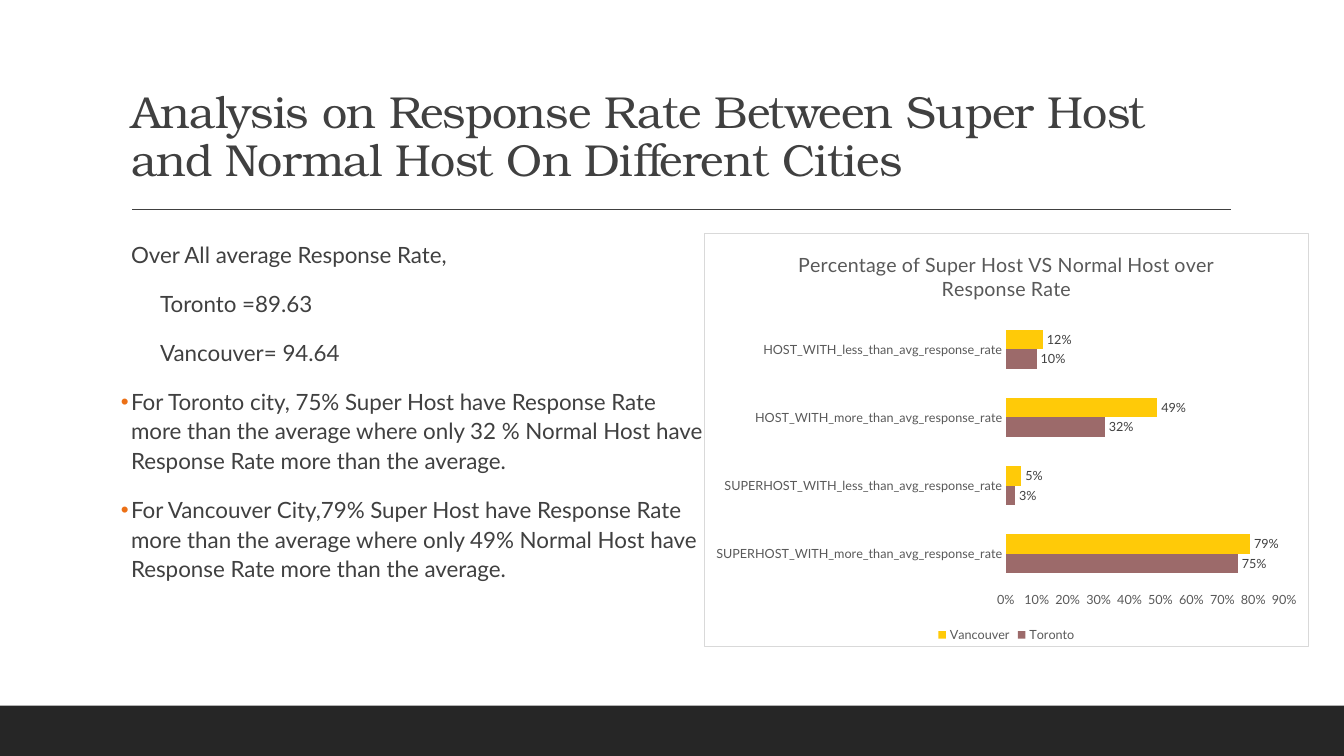
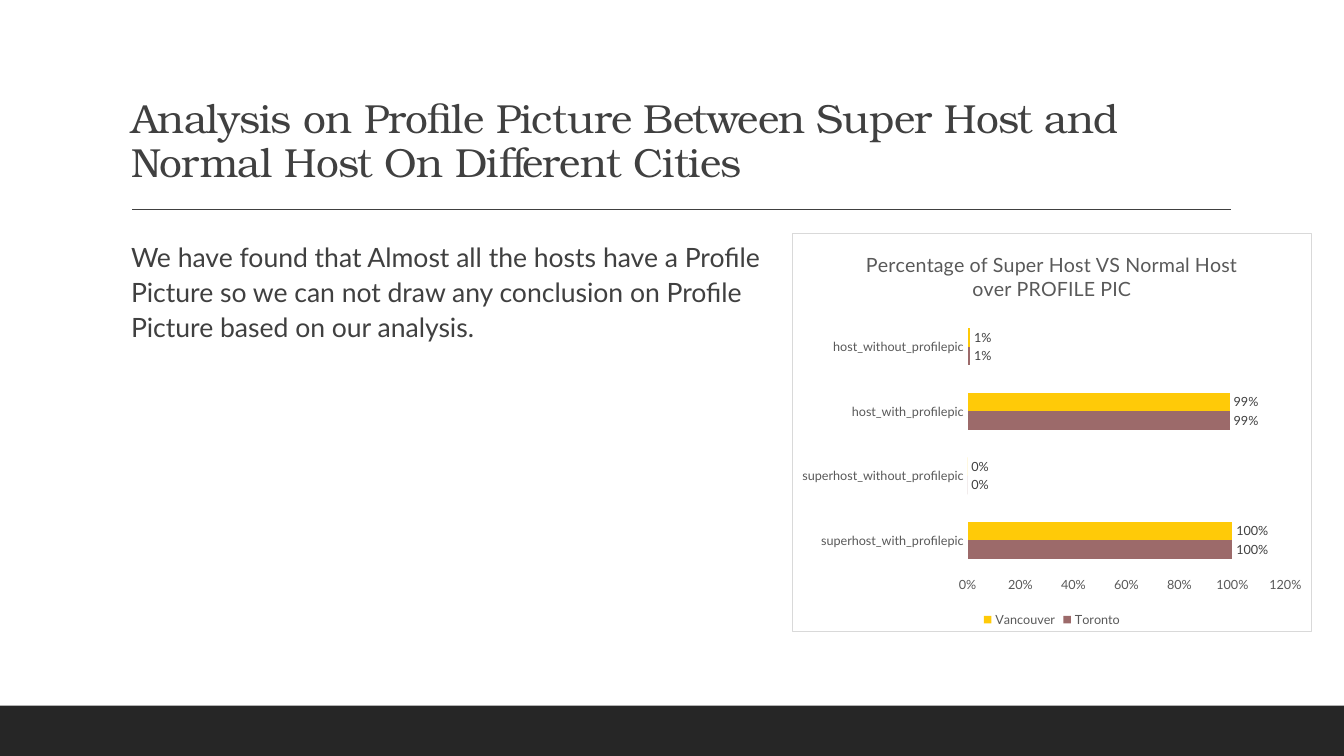
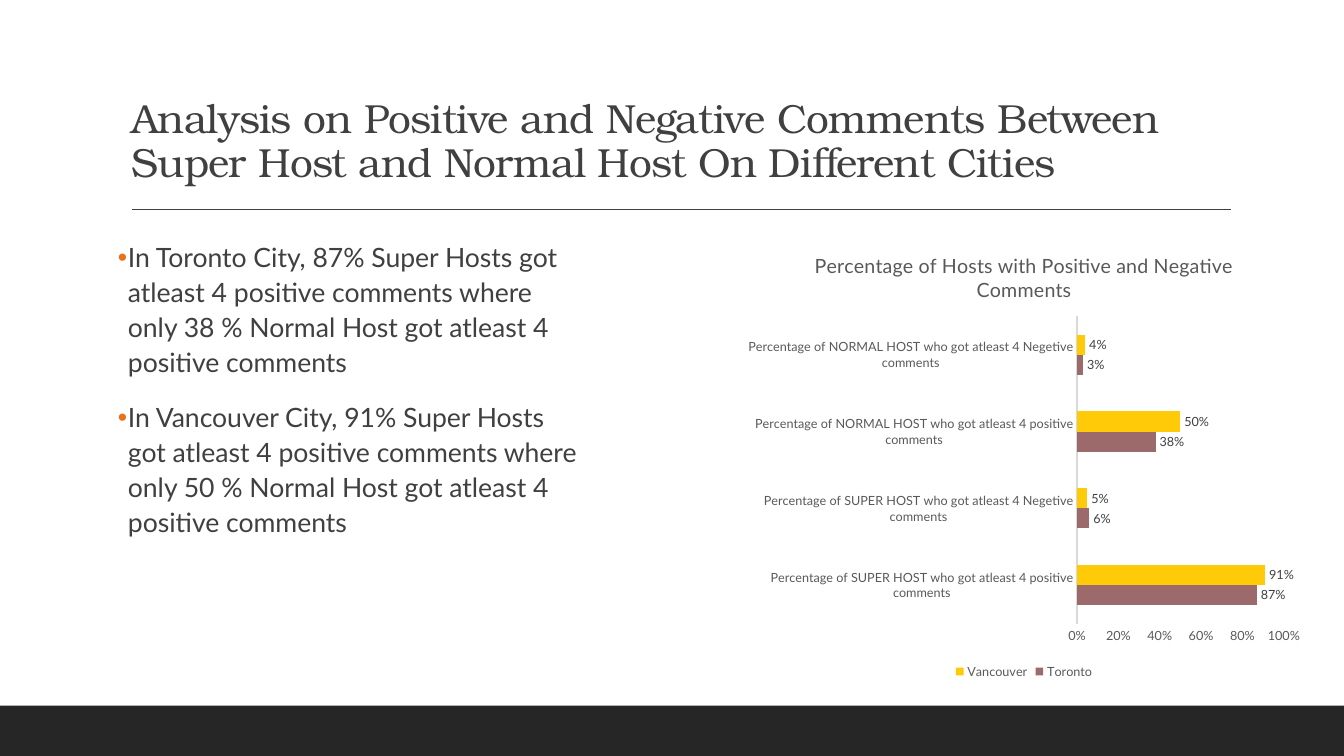
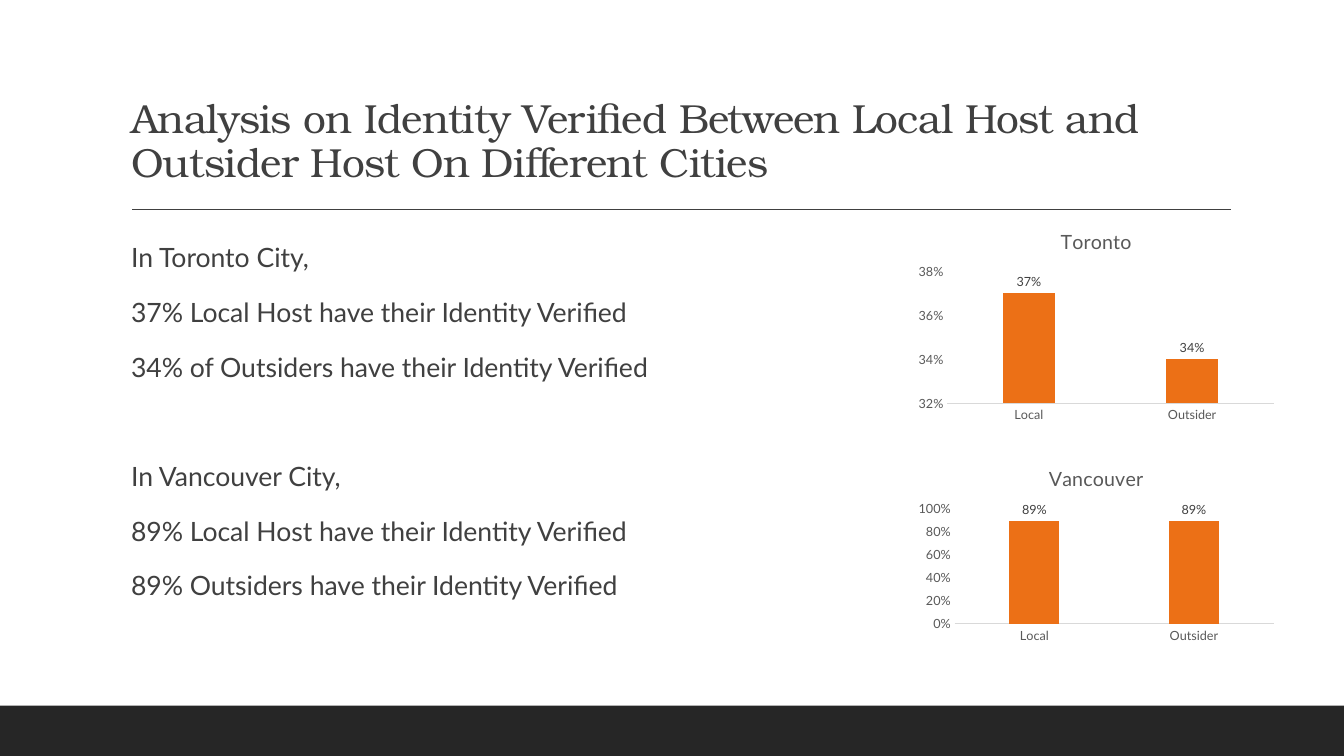
from pptx import Presentation
from pptx.chart.data import CategoryChartData
from pptx.dml.color import RGBColor
from pptx.enum.chart import XL_CHART_TYPE, XL_LABEL_POSITION, XL_LEGEND_POSITION, XL_TICK_MARK
from pptx.enum.shapes import MSO_CONNECTOR, MSO_SHAPE
from pptx.enum.text import MSO_ANCHOR, MSO_AUTO_SIZE, PP_ALIGN
from pptx.oxml import parse_xml
from pptx.oxml.ns import nsdecls, qn
from pptx.util import Pt
from lxml import etree

BAR = XL_CHART_TYPE.BAR_CLUSTERED
COLUMN = XL_CHART_TYPE.COLUMN_CLUSTERED
OUTSIDE_END = XL_LABEL_POSITION.OUTSIDE_END
LEGEND_BOTTOM = XL_LEGEND_POSITION.BOTTOM
NO_TICK = XL_TICK_MARK.NONE
STRAIGHT = MSO_CONNECTOR.STRAIGHT
RECTANGLE = MSO_SHAPE.RECTANGLE
BOTTOM = MSO_ANCHOR.BOTTOM
TOP = MSO_ANCHOR.TOP
NO_FIT = MSO_AUTO_SIZE.NONE
LEFT = PP_ALIGN.LEFT

WHITE = RGBColor(0xFF, 0xFF, 0xFF)
BAND = RGBColor(0x26, 0x26, 0x26)
INK = RGBColor(0x40, 0x40, 0x40)
MUTED = RGBColor(0x59, 0x59, 0x59)
HAIRLINE = RGBColor(0xD9, 0xD9, 0xD9)
ORANGE = RGBColor(0xEC, 0x70, 0x16)
MAUVE = RGBColor(0x9C, 0x6A, 0x6A)
YELLOW = RGBColor(0xFF, 0xCA, 0x08)

TITLE_FONT = "TeX Gyre Bonum"
BODY_FONT = "Lato"
PERCENT = "0%"

SLIDE_W, SLIDE_H = 960, 540
BAND_H = 36
TITLE_BOX = (86.4, 22.4, 792, 114.4)
RULE_LEFT, RULE_RIGHT, RULE_Y = 94.5, 879, 149.6
BODY_TOP, BODY_H = 166.4, 296
HANGING = 7.2

PLAIN, INDENTED, BULLET, SECTION = range(4)
MARGINS = {PLAIN: HANGING, INDENTED: 28, BULLET: HANGING, SECTION: HANGING}


def to_points(box):
    return [Pt(length) for length in box]


def place(shape, box):
    shape.left, shape.top, shape.width, shape.height = to_points(box)


def set_font(font, size, color, name=BODY_FONT):
    font.size = Pt(size)
    font.name = name
    font.bold = False
    font.color.rgb = color


def add_frame(layout, slide):
    band = slide.shapes.add_shape(
        RECTANGLE, *to_points((0, SLIDE_H - BAND_H, SLIDE_W, BAND_H)))
    band.shadow.inherit = False
    band.fill.solid()
    band.fill.fore_color.rgb = BAND
    band.line.fill.background()

    rule = slide.shapes.add_connector(
        STRAIGHT, *to_points((RULE_LEFT, RULE_Y, RULE_RIGHT, RULE_Y)))
    rule.line.color.rgb = INK
    rule.line.width = Pt(1)
    etree.SubElement(rule.element.spPr, qn("a:effectLst"))

    for offset, part in enumerate((band, rule)):
        part.element.xpath(".//p:cNvPr")[0].set("id", str(100 + offset))
        layout.shapes.element.insert(2 + offset, part.element)


def fill_title(title, text, size):
    place(title, TITLE_BOX)
    frame = title.text_frame
    frame.text = text
    frame.vertical_anchor = BOTTOM
    frame.auto_size = NO_FIT
    heading = frame.paragraphs[0]
    heading.alignment = LEFT
    heading.line_spacing = 0.9
    set_font(heading.font, size, INK, TITLE_FONT)
    heading._p.pPr.find(qn("a:defRPr")).set("spc", "-50")


def set_bullet(paragraph, kind):
    properties = paragraph._p.get_or_add_pPr()
    properties.set("marL", str(Pt(MARGINS[kind])))
    properties.set("indent", str(-Pt(HANGING) if kind == BULLET else 0))
    if kind == BULLET:
        color = etree.SubElement(properties, qn("a:buClr"))
        etree.SubElement(color, qn("a:srgbClr")).set("val", str(ORANGE))
        etree.SubElement(properties, qn("a:buChar")).set("char", "•")
    else:
        etree.SubElement(properties, qn("a:buNone"))


def fill_body(body, box, findings, size):
    place(body, box)
    frame = body.text_frame
    frame.margin_left = frame.margin_right = 0
    frame.margin_top = frame.margin_bottom = Pt(3.6)
    frame.vertical_anchor = TOP
    frame.auto_size = NO_FIT
    frame.text = "\n".join(text for _, text in findings)
    for index, (paragraph, (kind, _)) in enumerate(zip(frame.paragraphs, findings)):
        paragraph.alignment = LEFT
        paragraph.line_spacing = 1.1
        paragraph.space_before = Pt(0 if index == 0 else 51 if kind == SECTION else 12)
        paragraph.space_after = Pt(2)
        set_bullet(paragraph, kind)
        set_font(paragraph.font, size, INK)


def style_axes(chart, scale, category_line):
    for axis in (chart.category_axis, chart.value_axis):
        axis.major_tick_mark = axis.minor_tick_mark = NO_TICK
        axis.has_major_gridlines = False
        set_font(axis.tick_labels.font, 9, MUTED)
        axis.format.line.fill.background()
    if category_line:
        line = chart.category_axis.format.line
        line.color.rgb = HAIRLINE
        line.width = Pt(0.75)
    values = chart.value_axis
    values.minimum_scale, values.maximum_scale, values.major_unit = scale
    values.tick_labels.number_format = PERCENT
    values.tick_labels.number_format_is_linked = False


def add_card(chart):
    chart.element.find(qn("c:chart")).addnext(parse_xml(
        f'<c:spPr {nsdecls("c", "a")}>'
        f'<a:solidFill><a:srgbClr val="{WHITE}"/></a:solidFill>'
        f'<a:ln w="{Pt(0.75)}"><a:solidFill><a:srgbClr val="{HAIRLINE}"/></a:solidFill></a:ln>'
        '</c:spPr>'))


def add_percent_chart(slide, box, kind, heading, categories, series, scale,
                      gap, category_line=True, card=False):
    data = CategoryChartData(number_format=PERCENT)
    data.categories = categories
    for name, shares, _ in series:
        data.add_series(name, shares)
    chart = slide.shapes.add_chart(kind, *to_points(box), data).chart
    set_font(chart.font, 10, MUTED)

    chart.has_title = True
    chart.chart_title.include_in_layout = False
    chart.chart_title.text_frame.text = heading
    set_font(chart.chart_title.text_frame.paragraphs[0].font, 14, MUTED)

    chart.has_legend = len(series) > 1
    if chart.has_legend:
        chart.legend.position = LEGEND_BOTTOM
        chart.legend.include_in_layout = False
        set_font(chart.legend.font, 9, MUTED)

    style_axes(chart, scale, category_line)
    plot = chart.plots[0]
    plot.vary_by_categories = False
    plot.gap_width = gap
    if kind == COLUMN:
        plot.overlap = -27
    for bars, (_, _, color) in zip(plot.series, series):
        bars.format.fill.solid()
        bars.format.fill.fore_color.rgb = color
        labels = bars.data_labels
        labels.show_value = True
        labels.position = OUTSIDE_END
        labels.number_format = PERCENT
        labels.number_format_is_linked = False
        set_font(labels.font, 9, INK)
    if card:
        add_card(chart)


def add_city_chart(slide, box, heading, categories, toronto, vancouver, scale, **style):
    series = [("Toronto", toronto, MAUVE), ("Vancouver", vancouver, YELLOW)]
    add_percent_chart(slide, box, BAR, heading, categories, series, scale, **style)


def add_identity_chart(slide, box, city, shares, scale):
    add_percent_chart(slide, box, COLUMN, city, ["Local", "Outsider"],
                      [("Series 1", shares, ORANGE)], scale, gap=219)


def add_analysis(prs, title, body_left, body_width, findings,
                 title_size=29, body_size=19):
    slide = prs.slides.add_slide(prs.slide_layouts[1])
    fill_title(slide.shapes.title, title, title_size)
    fill_body(slide.placeholders[1], (body_left, BODY_TOP, body_width, BODY_H),
              findings, body_size)
    return slide


def main():
    prs = Presentation()
    prs.slide_width, prs.slide_height = Pt(SLIDE_W), Pt(SLIDE_H)

    response = add_analysis(
        prs, "Analysis on Response Rate Between Super Host and Normal Host On Different Cities",
        86.4, 416.2,
        [(PLAIN, "Over All average Response Rate,"),
         (INDENTED, "Toronto =89.63"),
         (INDENTED, "Vancouver= 94.64"),
         (BULLET, "For Toronto city, 75% Super Host have Response Rate more than the average "
                  "where only 32 % Normal Host have Response Rate more than the average."),
         (BULLET, "For Vancouver City,79% Super Host have Response Rate more than the average "
                  "where only 49% Normal Host have Response Rate more than the average.")],
        title_size=32, body_size=16)
    add_frame(prs.slide_layouts[1], response)
    add_city_chart(
        response, (502.6, BODY_TOP, 432.6, BODY_H),
        "Percentage of Super Host VS Normal Host over Response Rate",
        [f"{host}_WITH_{level}_than_avg_response_rate"
         for host in ("SUPERHOST", "HOST") for level in ("more", "less")],
        (0.75, 0.03, 0.32, 0.1), (0.79, 0.05, 0.49, 0.12), (0, 0.9, 0.1),
        gap=150, category_line=False, card=True)

    picture = add_analysis(
        prs, "Analysis on Profile Picture Between Super Host and Normal Host On Different Cities",
        86.4, 462.2,
        [(PLAIN, "We have found that Almost all the hosts have a Profile Picture so we can not "
                 "draw any conclusion on Profile Picture based on our analysis.")])
    add_city_chart(
        picture, (565.4, BODY_TOP, 372, 285),
        "Percentage of Super Host VS Normal Host over PROFILE PIC",
        [f"{host}_{has}_profilepic"
         for host in ("superhost", "host") for has in ("with", "without")],
        (1, 0, 0.99, 0.01), (1, 0, 0.99, 0.01), (0, 1.2, 0.2),
        gap=150, category_line=False, card=True)

    comments = add_analysis(
        prs, "Analysis on Positive and Negative Comments Between Super Host and Normal Host "
             "On Different Cities",
        84.2, 333.4,
        [(BULLET, f"In {city} City, {superhosts}% Super Hosts got atleast 4 positive comments "
                  f"where only {normal} % Normal Host got atleast 4 positive comments")
         for city, superhosts, normal in (("Toronto", 87, 38), ("Vancouver", 91, 50))])
    add_city_chart(
        comments, (526.3, BODY_TOP, 410.4, 321.8),
        "Percentage of Hosts with Positive and Negative Comments",
        [f"Percentage of {host} HOST who got atleast 4 {tone} comments"
         for host in ("SUPER", "NORMAL") for tone in ("positive", "Negetive")],
        (0.87, 0.06, 0.38, 0.03), (0.91, 0.05, 0.5, 0.04), (0, 1, 0.2), gap=182)

    identity = add_analysis(
        prs, "Analysis on Identity Verified Between Local Host and Outsider Host "
             "On Different Cities",
        86.4, 542.9,
        [(PLAIN, "In Toronto City,"),
         (PLAIN, "37% Local Host have their Identity Verified"),
         (PLAIN, "34% of Outsiders have their Identity Verified"),
         (SECTION, "In Vancouver City,"),
         (PLAIN, "89% Local Host have their Identity Verified"),
         (PLAIN, "89% Outsiders have their Identity Verified")])
    add_identity_chart(identity, (650.9, 152.6, 264.2, 152.6), "Toronto",
                       (0.37, 0.34), (0.32, 0.38, 0.02))
    add_identity_chart(identity, (650.9, 322.6, 264.2, 139.7), "Vancouver",
                       (0.89, 0.89), (0, 1, 0.2))

    prs.save("out.pptx")


if __name__ == "__main__":
    main()
